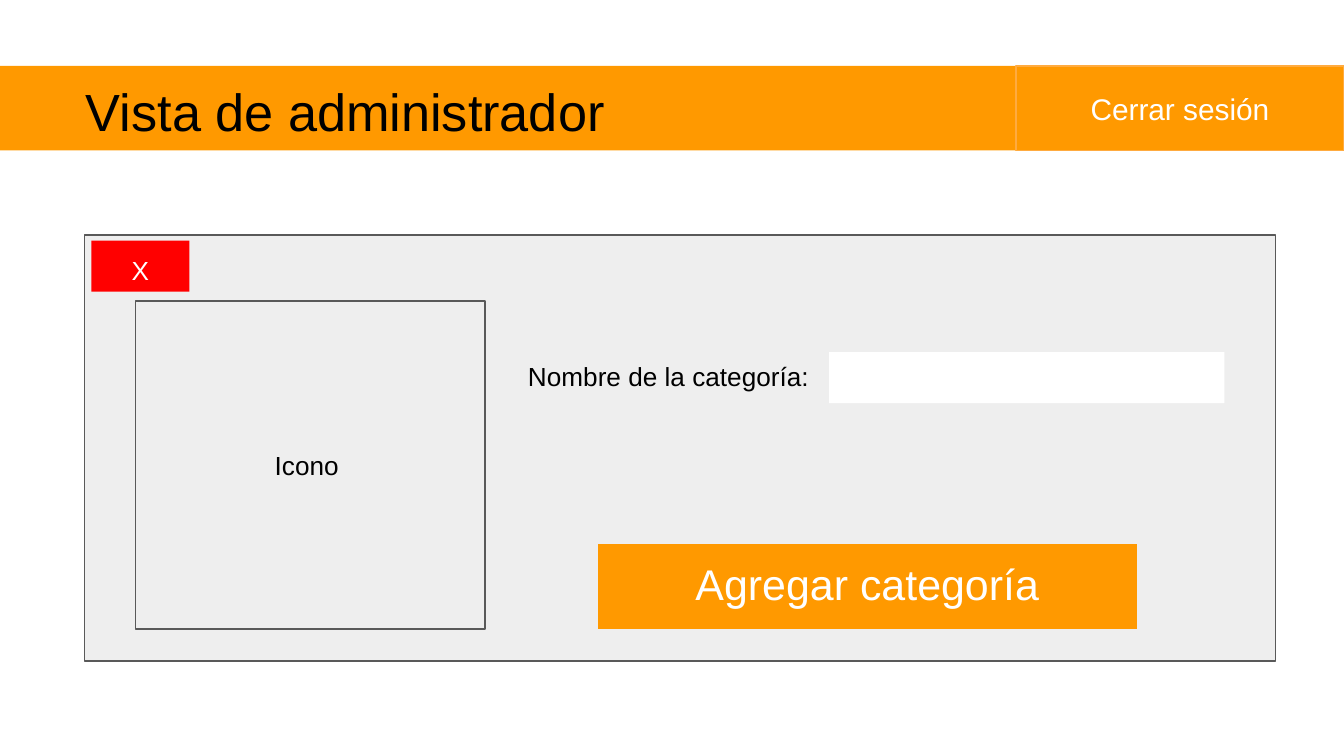
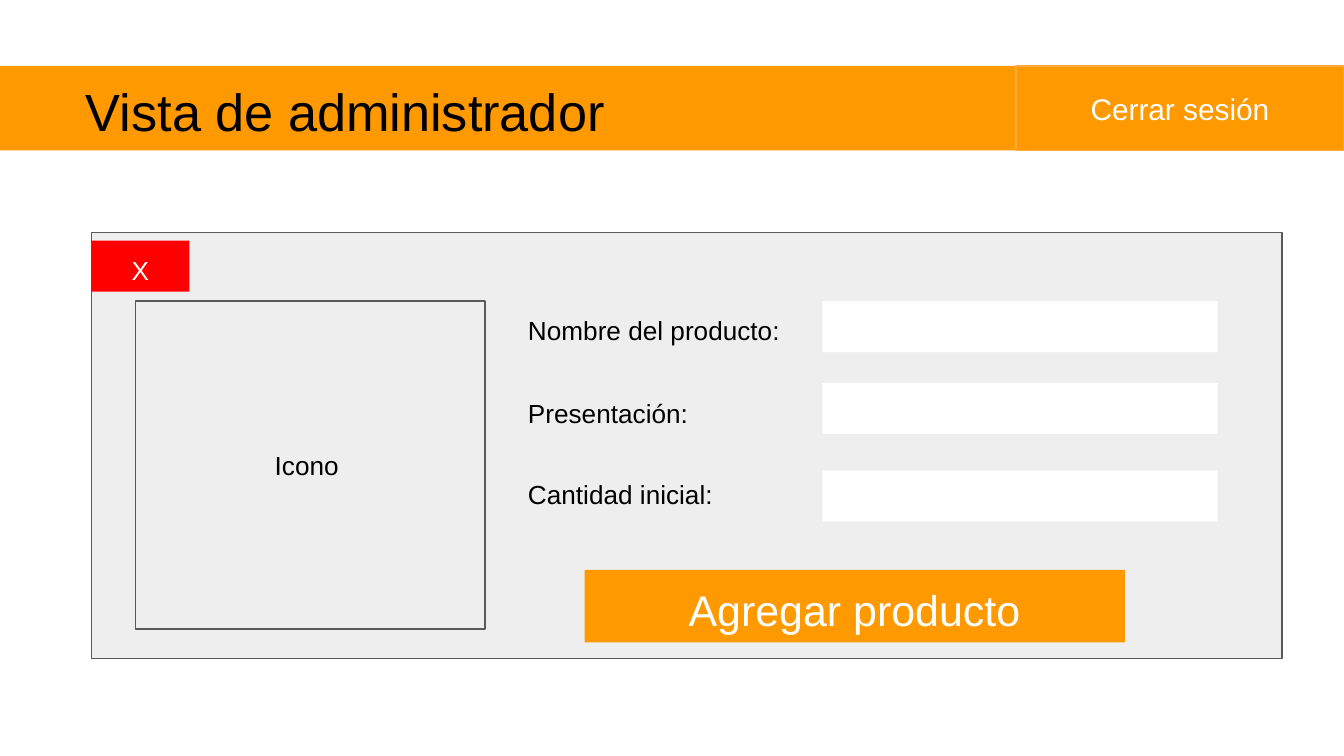
from pptx import Presentation
from pptx.dml.color import RGBColor
from pptx.enum.shapes import MSO_SHAPE
from pptx.enum.text import MSO_ANCHOR, PP_ALIGN
from pptx.util import Inches, Pt

RECTANGLE = MSO_SHAPE.RECTANGLE
TOP, MIDDLE = MSO_ANCHOR.TOP, MSO_ANCHOR.MIDDLE
LEFT, CENTER = PP_ALIGN.LEFT, PP_ALIGN.CENTER

# Shared style
FONT = "Arial"
ORANGE, AMBER, RED = "FF9900", "FFAB40", "FF0000"
GRAY, DARK_GRAY = "EEEEEE", "595959"
WHITE, BLACK = "FFFFFF", "000000"
INSET = 0.1
TITLE_INDENT = 0.64

# Shared layout
SLIDE_WIDTH = 10
BAND_TOP, BAND_HEIGHT = 0.49, 0.63
PANEL_SIZE = (8.86, 3.17)
LABEL_LEFT, LABEL_SIZE = 3.83, (2.35, 0.46)
FIELD_SIZE = (2.94, 0.38)

# Each form: fields are (label, top of label, top of input)
FORMS = [
    {
        "panel": (0.63, 1.75),
        "field_left": 6.17,
        "fields": [("Nombre de la categoría:", 2.58, 2.62)],
        "button": ("Agregar categoría", (4.45, 4.05, 4.01, 0.63)),
    },
    {
        "panel": (0.68, 1.73),
        "field_left": 6.12,
        "fields": [
            ("Nombre del producto:", 2.24, 2.24),
            ("Presentación:", 2.86, 2.85),
            ("Cantidad inicial:", 3.46, 3.5),
        ],
        "button": ("Agregar producto", (4.35, 4.24, 4.02, 0.54)),
    },
]


def color(value):
    return RGBColor.from_string(value)


def write(shape, text, size, ink, align=CENTER, anchor=TOP, indent=INSET):
    frame = shape.text_frame
    frame.word_wrap = True
    frame.vertical_anchor = anchor
    frame.margin_left = Inches(indent)
    frame.margin_top = frame.margin_right = frame.margin_bottom = Inches(INSET)
    para = frame.paragraphs[0]
    para.alignment = align
    span = para.add_run()
    span.text = text
    span.font.name = FONT
    span.font.size = Pt(size)
    span.font.color.rgb = color(ink)


def add_box(page, place, fill, line=None):
    box = page.shapes.add_shape(RECTANGLE, *map(Inches, place))
    box.shadow.inherit = False
    box.fill.solid()
    box.fill.fore_color.rgb = color(fill)
    if line:
        box.line.color.rgb = color(line)
        box.line.width = Pt(0.75)
    else:
        box.line.fill.background()
    return box


def add_form(page, form):
    # Header band and panel
    title = add_box(page, (0, BAND_TOP, 9.66, BAND_HEIGHT), ORANGE)
    write(title, "Vista de administrador", 28, BLACK, LEFT, indent=TITLE_INDENT)
    add_box(page, (*form["panel"], *PANEL_SIZE), GRAY, DARK_GRAY)
    logout = add_box(page, (7.56, BAND_TOP, 2.44, BAND_HEIGHT), ORANGE, AMBER)
    write(logout, "Cerrar sesión", 16, WHITE, anchor=MIDDLE)

    # Submit button
    caption, place = form["button"]
    write(add_box(page, place, ORANGE), caption, 23, WHITE)

    # Labels and input fields
    for text, label_top, field_top in form["fields"]:
        label = page.shapes.add_textbox(
            *map(Inches, (LABEL_LEFT, label_top, *LABEL_SIZE)))
        write(label, text, 14, BLACK, LEFT)
        add_box(page, (form["field_left"], field_top, *FIELD_SIZE), WHITE)

    # Icon area and close button
    icon = add_box(page, (1.01, 2.24, 2.6, 2.44), GRAY, DARK_GRAY)
    write(icon, "Icono ", 14, BLACK, anchor=MIDDLE)
    close = add_box(page, (0.68, 1.79, 0.73, 0.38), RED)
    write(close, "X", 14, WHITE)


def main():
    deck = Presentation()
    # Widescreen, 16:9
    deck.slide_width = Inches(SLIDE_WIDTH)
    deck.slide_height = Inches(SLIDE_WIDTH * 9 / 16)
    blank = deck.slide_layouts[6]
    for form in FORMS:
        add_form(deck.slides.add_slide(blank), form)
    deck.save("out.pptx")


if __name__ == "__main__":
    main()
